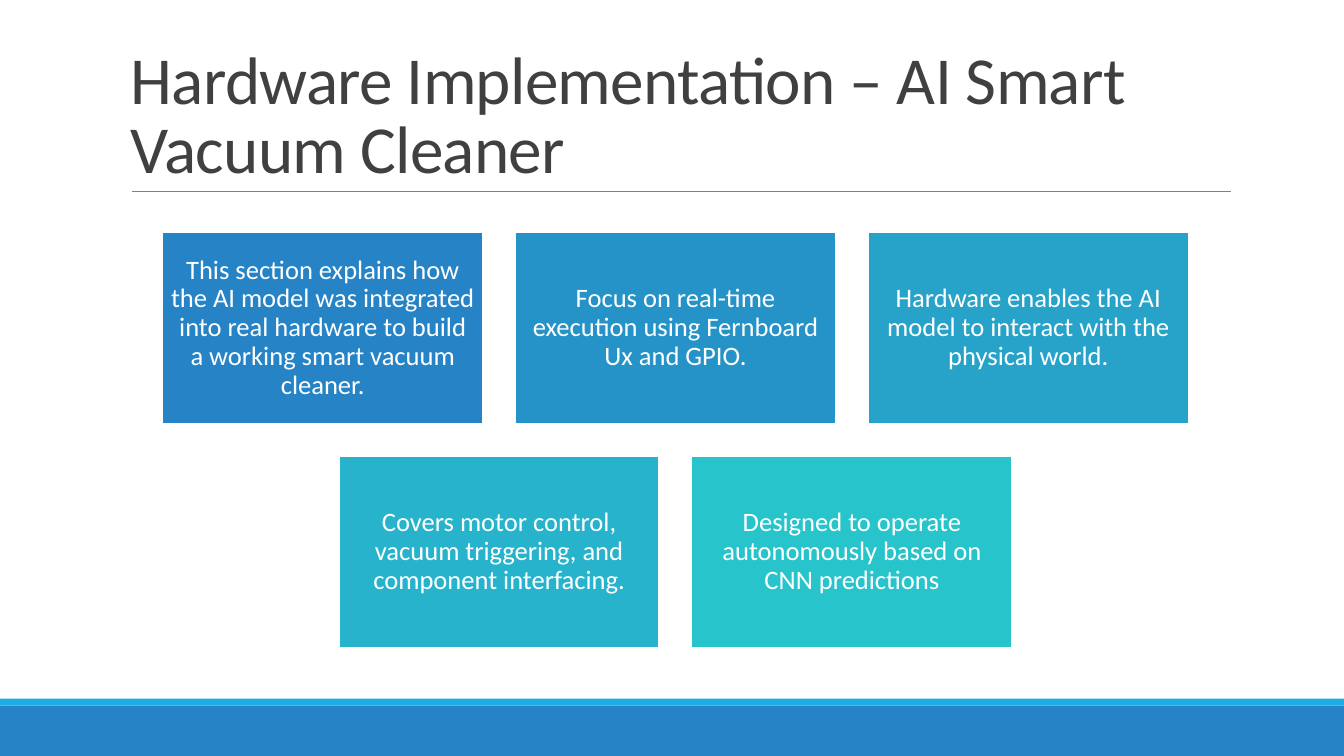
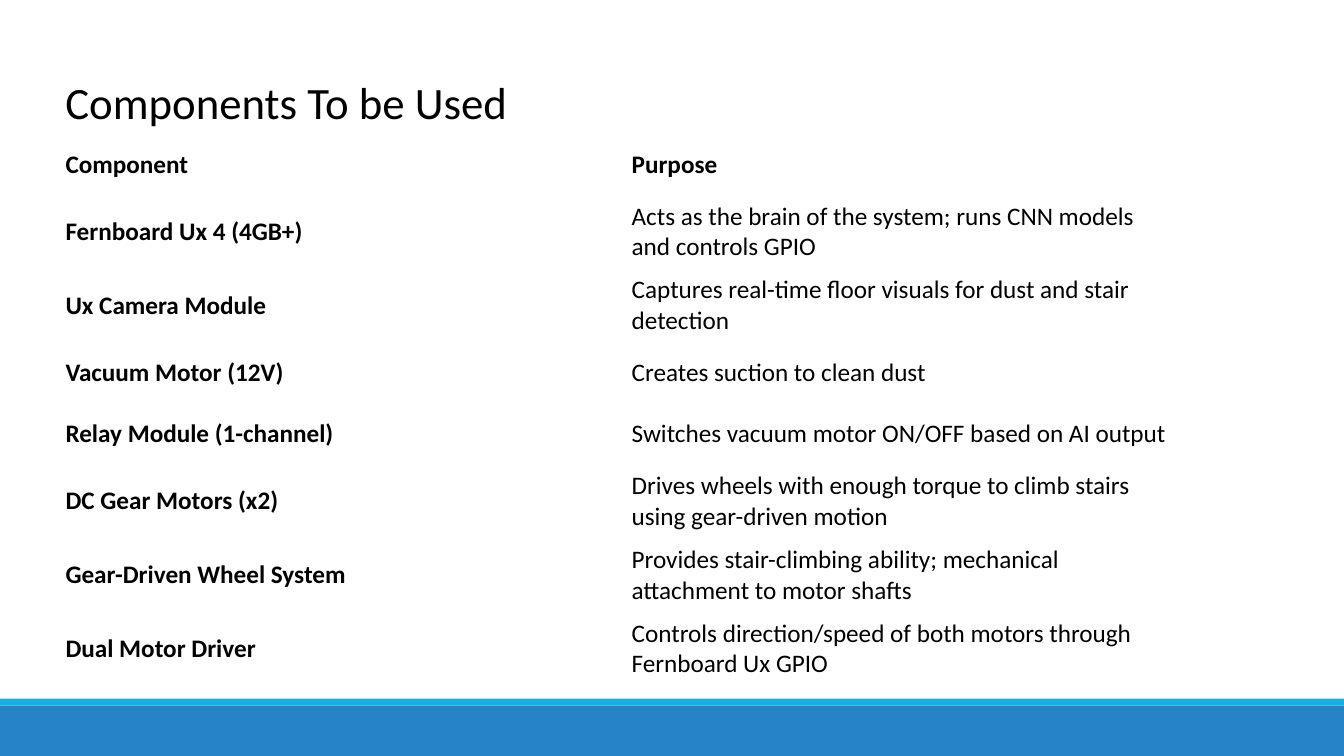
import pptx
import pptx.dml.color
import pptx.enum.shapes
import pptx.enum.text
import pptx.oxml.ns
import pptx.util
from lxml import etree

Pt = pptx.util.Pt
ANCHOR = pptx.enum.text.MSO_ANCHOR
ALIGN = pptx.enum.text.PP_ALIGN

COLORS = {
    "white": "FFFFFF",
    "black": "000000",
    "title": "404040",
    "rule": "808080",
    "band": "2683C6",
    "accent": "1CADE4",
}
CARD_FILLS = ["2683C6", "2693C8", "27A3C9", "27B3CB", "28C4CC"]
WIDTH, HEIGHT = 960, 540


def rgb(value):
    return pptx.dml.color.RGBColor.from_string(value)


class Deck:
    """Holds the shared style and the current slide; lengths are points."""

    font = "Calibri"

    def __init__(self):
        self.presentation = pptx.Presentation()
        self.presentation.slide_width = Pt(WIDTH)
        self.presentation.slide_height = Pt(HEIGHT)
        self.slide = None

    def add_slide(self):
        self.slide = self.presentation.slides.add_slide(self.presentation.slide_layouts[6])
        self.rectangle(0, 504, WIDTH, 36, COLORS["band"])
        self.rectangle(0, 499, WIDTH, 5, COLORS["accent"])

    def add_text(self, frame, text, size, color, bold=False, spacing=None):
        paragraph = frame.paragraphs[0]
        run = paragraph.add_run()
        run.text = text
        run.font.name = self.font
        run.font.size = Pt(size)
        run.font.bold = bold
        run.font.color.rgb = rgb(color)
        if spacing is not None:
            run._r.get_or_add_rPr().set("spc", str(round(spacing * 100)))
        return paragraph

    def rectangle(self, left, top, width, height, fill, outline=None):
        shape = self.slide.shapes.add_shape(
            pptx.enum.shapes.MSO_SHAPE.RECTANGLE, Pt(left), Pt(top), Pt(width), Pt(height))
        shape.shadow.inherit = False
        shape.fill.solid()
        shape.fill.fore_color.rgb = rgb(fill)
        if outline:
            shape.line.color.rgb = rgb(outline)
            shape.line.width = Pt(1.25)
        else:
            shape.line.fill.background()
        return shape

    def card(self, left, top, width, height, fill, text):
        frame = self.rectangle(left, top, width, height, fill, COLORS["white"]).text_frame
        frame.word_wrap = True
        frame.vertical_anchor = ANCHOR.MIDDLE
        frame.margin_left = frame.margin_right = Pt(5.7)
        frame.margin_top = frame.margin_bottom = Pt(5.7)
        paragraph = self.add_text(frame, text, 19, COLORS["white"])
        paragraph.alignment = ALIGN.CENTER
        paragraph.line_spacing = 0.9

    def title(self, text, left, top, width, height, size, color,
              anchor=ANCHOR.TOP, line_spacing=1.0, spacing=None):
        box = self.slide.shapes.add_textbox(Pt(left), Pt(top), Pt(width), Pt(height))
        frame = box.text_frame
        frame.word_wrap = True
        frame.vertical_anchor = anchor
        paragraph = self.add_text(frame, text, size, color, spacing=spacing)
        paragraph.line_spacing = line_spacing

    def rule(self, left, right, top):
        line = self.slide.shapes.add_connector(
            pptx.enum.shapes.MSO_CONNECTOR.STRAIGHT, Pt(left), Pt(top), Pt(right), Pt(top))
        line.line.color.rgb = rgb(COLORS["rule"])
        line.line.width = Pt(0.5)
        etree.SubElement(line._element.spPr, pptx.oxml.ns.qn("a:effectLst"))

    def table(self, left, top, column_width, rows, heights):
        columns = len(rows[0])
        table = self.slide.shapes.add_table(
            len(rows), columns, Pt(left), Pt(top),
            Pt(column_width * columns), Pt(sum(heights))).table
        table.first_row = table.horz_banding = False
        for column in table.columns:
            column.width = Pt(column_width)
        for row_index, (texts, height) in enumerate(zip(rows, heights)):
            table.rows[row_index].height = Pt(height)
            for column_index, text in enumerate(texts):
                cell = table.cell(row_index, column_index)
                cell.fill.background()
                cell.vertical_anchor = ANCHOR.MIDDLE
                bold = row_index == 0 or column_index == 0
                self.add_text(cell.text_frame, text, 18, COLORS["black"], bold)


def build_overview(deck):
    deck.add_slide()
    deck.title("Hardware Implementation – AI Smart Vacuum Cleaner", 86.4, 22.5, 792, 114.5,
               48, COLORS["title"], ANCHOR.BOTTOM, 0.85, -0.5)
    deck.rule(94.3, 879, 136.8)

    # Cards: each row is centred on the same axis
    card_rows = [
        ["This section explains how the AI model was integrated into real hardware "
         "to build a working smart vacuum cleaner.",
         "Focus on real-time execution using Fernboard Ux and GPIO.",
         "Hardware enables the AI model to interact with the physical world."],
        ["Covers motor control, vacuum triggering, and component interfacing.",
         "Designed to operate autonomously based on CNN predictions"],
    ]
    width, height, gap, center, top = 229, 137.5, 23, 482.5, 165.6
    fills = iter(CARD_FILLS)
    for row_index, texts in enumerate(card_rows):
        left = center - (len(texts) * (width + gap) - gap) / 2
        for column_index, text in enumerate(texts):
            deck.card(left + column_index * (width + gap), top + row_index * (height + gap - 0.5),
                      width, height, next(fills), text)


def build_components(deck):
    deck.add_slide()
    deck.title("Components To be Used", 39.6, 49.7, 497.5, 46, 32, COLORS["black"])

    # Component table: two-line rows are taller
    rows = [
        ("Component", "Purpose"),
        ("Fernboard Ux 4 (4GB+)",
         "Acts as the brain of the system; runs CNN models and controls GPIO"),
        ("Ux Camera Module", "Captures real-time floor visuals for dust and stair detection"),
        ("Vacuum Motor (12V)", "Creates suction to clean dust"),
        ("Relay Module (1-channel)", "Switches vacuum motor ON/OFF based on AI output"),
        ("DC Gear Motors (x2)",
         "Drives wheels with enough torque to climb stairs using gear-driven motion"),
        ("Gear-Driven Wheel System",
         "Provides stair-climbing ability; mechanical attachment to motor shafts"),
        ("Dual Motor Driver",
         "Controls direction/speed of both motors through Fernboard Ux GPIO"),
    ]
    heights = [52.7 if len(purpose) > 50 else 43.5 for _, purpose in rows]
    deck.table(39.6, 95.8, 404.4, rows, heights)


def main():
    deck = Deck()
    build_overview(deck)
    build_components(deck)
    deck.presentation.save("out.pptx")


if __name__ == "__main__":
    main()
